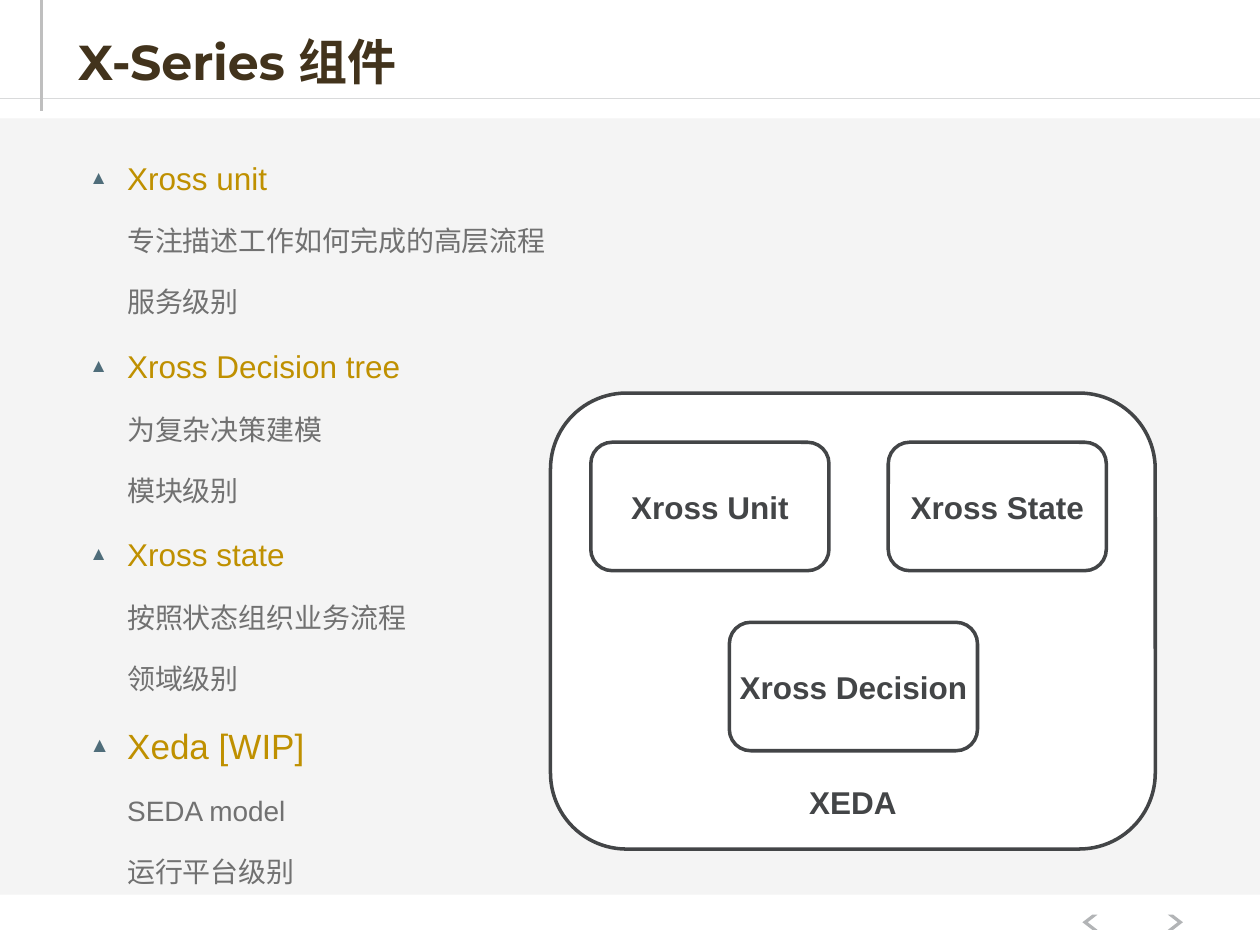
import pptx
import pptx.dml.color
import pptx.enum.shapes
import pptx.enum.text
import pptx.oxml
import pptx.oxml.ns
import pptx.util

Pt = pptx.util.Pt
RGB = pptx.dml.color.RGBColor
SHAPE = pptx.enum.shapes.MSO_SHAPE
ALIGN = pptx.enum.text.PP_ALIGN
ANCHOR = pptx.enum.text.MSO_ANCHOR

WHITE = RGB(0xFF, 0xFF, 0xFF)
BAND = RGB(0xF2, 0xF2, 0xF2)
RULE = RGB(0xD9, 0xDA, 0xDB)
MARGIN = RGB(0xBF, 0xBF, 0xBF)
CHEVRON = RGB(0xB2, 0xB4, 0xB6)
BROWN = RGB(0x42, 0x33, 0x1C)
GOLD = RGB(0xBF, 0x90, 0x00)
GREY = RGB(0x71, 0x71, 0x71)
DARK = RGB(0x43, 0x45, 0x47)
BULLET = RGB(0x4F, 0x6D, 0x7A)
SUB_BULLET = RGB(0x8F, 0x6C, 0x00)

HEADING = {"bullet": ("▲", BULLET, 60),
           "paragraph": {"level": 0, "line_spacing": 1.2, "space_before": Pt(12)}}
DETAIL = {"bullet": (" ", SUB_BULLET, 70),
          "paragraph": {"level": 1, "line_spacing": 1.4, "space_before": Pt(8)}}

COMPONENTS = [
    ("Xross unit", 18, ["专注描述工作如何完成的高层流程", "服务级别"]),
    ("Xross Decision tree", 18, ["为复杂决策建模", "模块级别"]),
    ("Xross state", 18, ["按照状态组织业务流程", "领域级别"]),
    ("Xeda [WIP]", 20, ["SEDA model", "运行平台级别"]),
]


def apply(target, values):
    """Set each named attribute of the target."""
    for name, value in values.items():
        setattr(target, name, value)


def add_xml(parent, tag, **attrs):
    """Append a drawing element with attributes and return it."""
    element = pptx.oxml.parse_xml(f"<a:{tag} {pptx.oxml.ns.nsdecls('a')}/>")
    for name, value in attrs.items():
        element.set(name, str(value))
    parent.append(element)
    return element


def write(p, text, size, color, name="Arial", bold=False):
    """Add one formatted run to a paragraph."""
    r = p.add_run()
    r.text = text
    apply(r.font, {"size": Pt(size), "name": name, "bold": bold})
    r.font.color.rgb = color


def add_shape(s, kind, box, fill, line=None):
    """Add a filled shape without shadow, outlined if a line colour is given."""
    sp = s.shapes.add_shape(kind, *map(Pt, box))
    sp.shadow.inherit = False
    sp.fill.solid()
    sp.fill.fore_color.rgb = fill
    if line is None:
        sp.line.fill.background()
    else:
        sp.line.color.rgb = line
        sp.line.width = Pt(2)
    return sp


def add_rule(s, ends, color, width):
    """Add a plain straight line."""
    sp = s.shapes.add_connector(pptx.enum.shapes.MSO_CONNECTOR.STRAIGHT, *map(Pt, ends))
    sp.line.color.rgb = color
    sp.line.width = Pt(width)
    add_xml(sp._element.spPr, "effectLst")


def add_frame(s, width, height):
    """Draw the rules, the grey band and the navigation chevrons."""
    add_rule(s, (0, 56.2, width, 56.2), RULE, 0.5)
    band = add_shape(s, SHAPE.RECTANGLE, (0, 67.7, width, 443.5), BAND)
    add_xml(band.fill._xPr.find(".//" + pptx.oxml.ns.qn("a:srgbClr")), "alpha", val=83000)
    for right, rotation in ((52.6, 0), (101.5, 180)):
        sp = add_shape(s, SHAPE.CHEVRON, (width - right, height - 17.3, 8.6, 8.6), CHEVRON)
        sp.adjustments[0] = 0.65
        sp.rotation = rotation
    add_rule(s, (23.8, 0, 23.8, 63.4), MARGIN, 1.5)


def place(s, sp, box):
    """Move a placeholder into the box and in front of the frame."""
    apply(sp, dict(zip(("left", "top", "width", "height"), map(Pt, box))))
    s.shapes._spTree.append(sp._element)
    sp.text_frame.auto_size = pptx.enum.text.MSO_AUTO_SIZE.NONE
    return sp.text_frame


def add_title(s, box, text):
    """Fill the title placeholder."""
    tf = place(s, s.shapes.title, box)
    tf.vertical_anchor = ANCHOR.BOTTOM
    p = tf.paragraphs[0]
    apply(p, {"alignment": ALIGN.LEFT, "line_spacing": 0.9})
    write(p, text, 28, BROWN, "Montserrat", True)


def add_item(p, text, size, color, style):
    """Write one bulleted list item."""
    apply(p, {"alignment": ALIGN.JUSTIFY, **style["paragraph"]})
    char, bullet_color, percent = style["bullet"]
    pPr = p._p.get_or_add_pPr()
    pPr.set("marL", str(Pt(28.1)))
    pPr.set("indent", str(Pt(-21.6)))
    add_xml(add_xml(pPr, "buClr"), "srgbClr", val=bullet_color)
    add_xml(pPr, "buSzPct", val=percent * 1000)
    add_xml(pPr, "buFont", typeface="Arial")
    add_xml(pPr, "buChar", char=char)
    write(p, text, size, color)


def add_list(s, box, components):
    """Fill the body placeholder with headings and their details."""
    tf = place(s, s.placeholders[1], box)
    items = []
    for heading, size, details in components:
        items.append((heading, size, GOLD, HEADING))
        items += [(detail, 16, GREY, DETAIL) for detail in details]
    for i, item in enumerate(items):
        add_item(tf.add_paragraph() if i else tf.paragraphs[0], *item)


def add_box(s, box, text, anchor):
    """Draw one labelled rounded box."""
    sp = add_shape(s, SHAPE.ROUNDED_RECTANGLE, box, WHITE, DARK)
    tf = sp.text_frame
    apply(tf, {"word_wrap": False, "vertical_anchor": anchor})
    tf.paragraphs[0].alignment = ALIGN.CENTER
    write(tf.paragraphs[0], text, 18, DARK, bold=True)


def add_diagram(s, box):
    """Draw the XEDA container with its three components."""
    left, top = box[:2]
    add_box(s, box, "XEDA", ANCHOR.BOTTOM)
    for text, x, y, width in (("Xross Unit", 23, 28.1, 136.1),
                              ("Xross Decision", 102.2, 131, 141.8),
                              ("Xross State", 193, 28.1, 124.6)):
        add_box(s, (left + x, top + y, width, 73.4), text, ANCHOR.MIDDLE)


def main():
    """Build and save the slide."""
    prs = pptx.Presentation()
    apply(prs, {"slide_width": Pt(720), "slide_height": Pt(540)})
    s = prs.slides.add_slide(prs.slide_layouts[1])
    add_frame(s, 720, 540)
    add_title(s, (37.4, 10.8, 492.5, 44.6), "X-Series 组件")
    add_list(s, (37.4, 82.8, 627.8, 416.2), COMPONENTS)
    add_diagram(s, (314.6, 224.6, 345.6, 260.6))
    prs.save("out.pptx")


if __name__ == "__main__":
    main()
